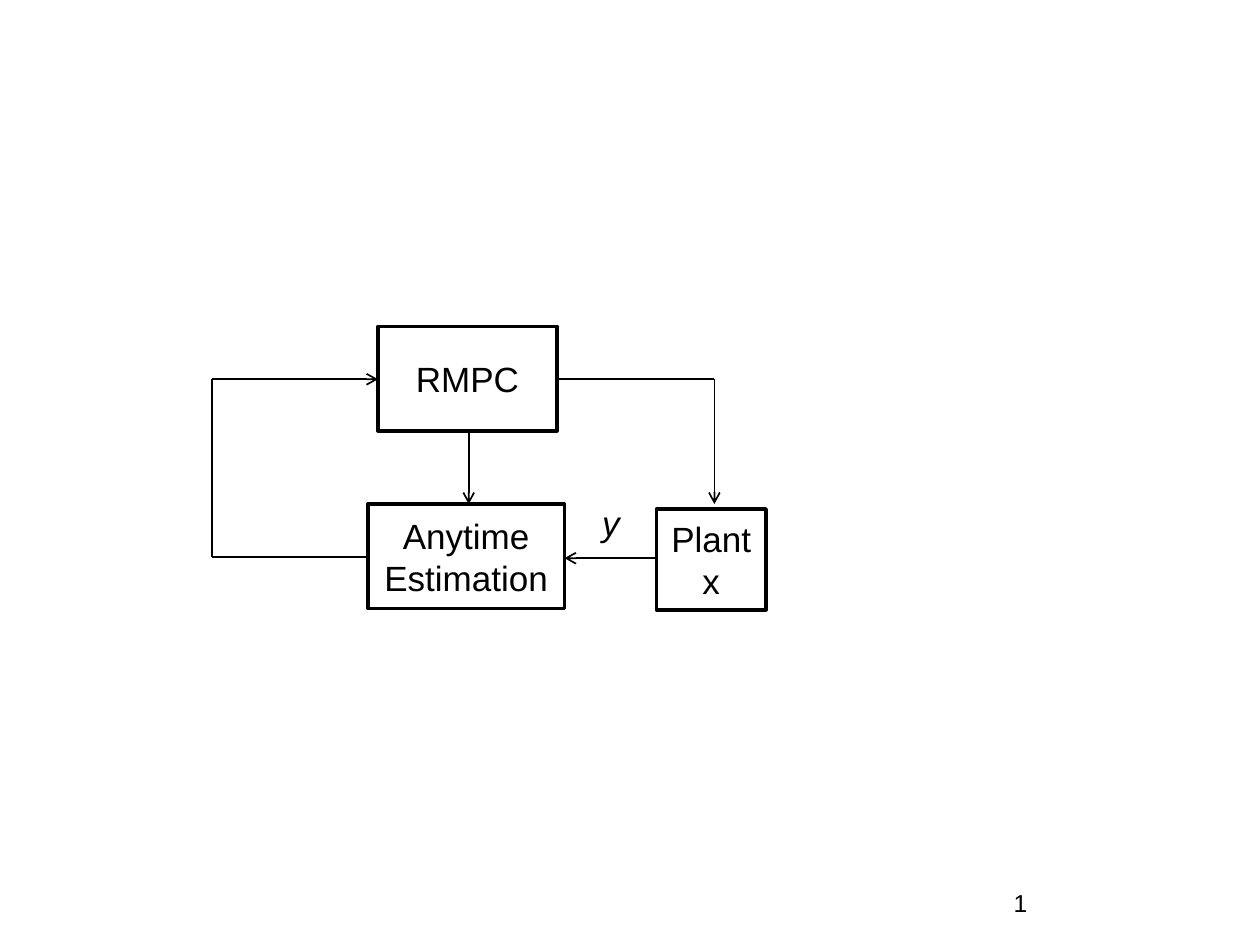
from lxml import etree
from pptx import Presentation
from pptx.dml.color import RGBColor
from pptx.enum import shapes, text
from pptx.oxml import ns
from pptx.util import Inches, Pt

BLACK = "000000"
CENTER, LEFT, RIGHT = text.PP_ALIGN.CENTER, text.PP_ALIGN.LEFT, text.PP_ALIGN.RIGHT

# lines of text, (left, top, width, height)
BLOCKS = [
    (["RMPC"], (3, 2.59, 1.42, 0.83)),
    (["Plant", "x"], (5.21, 4.04, 0.87, 0.8)),
    (["Anytime Estimation"], (2.92, 4, 1.56, 0.83)),
]

# text, (left, top, width, height), format
LABELS = [
    ("1", (6.17, 7, 2.08, 0.5), {"size": 14, "align": RIGHT}),
    ("y", (4.68, 3.93, 0.43, 0.44), {"italic": True, "align": LEFT}),
]

# Corner points of each signal path, and whether it ends in an arrowhead
SIGNALS = [
    ([(4.42, 3.01), (5.67, 3.01), (5.67, 4)], True),  # RMPC to plant
    ([(2.92, 4.42), (1.68, 4.42), (1.68, 3.01), (3, 3.01)], True),  # estimation to RMPC
    ([(3.72, 3.44), (3.72, 4)], True),  # RMPC to estimation
    ([(5.21, 4.43), (4.48, 4.43)], True),  # plant to estimation
]


def color(value):
    return RGBColor.from_string(value)


def write(shape, lines, size=20, italic=False, align=CENTER,
          anchor=text.MSO_ANCHOR.TOP):
    frame = shape.text_frame
    frame.word_wrap = True
    frame.vertical_anchor = anchor
    frame.text = "\n".join(lines)
    for paragraph in frame.paragraphs:
        paragraph.alignment = align
        font = paragraph.runs[0].font
        font.name, font.size, font.italic = "Arial", Pt(size), italic
        font.color.rgb = color(BLACK)


def add_block(slide, lines, box):
    shape = slide.shapes.add_shape(shapes.MSO_SHAPE.RECTANGLE, *map(Inches, box))
    shape.shadow.inherit = False
    shape.fill.background()
    shape.line.color.rgb = color(BLACK)
    shape.line.width = Pt(2)
    write(shape, lines, anchor=text.MSO_ANCHOR.MIDDLE)


def add_line(slide, start, end, arrow):
    connector = slide.shapes.add_connector(
        shapes.MSO_CONNECTOR.STRAIGHT, *map(Inches, start + end))
    connector.line.color.rgb = color(BLACK)
    connector.line.width = Pt(1)
    if arrow:
        outline = connector.line._get_or_add_ln()
        etree.SubElement(outline, ns.qn("a:tailEnd"), type="arrow")
    etree.SubElement(connector._element.spPr, ns.qn("a:effectLst"))


def main():
    presentation = Presentation()
    presentation.slide_width, presentation.slide_height = Inches(10), Inches(7.5)
    slide = presentation.slides.add_slide(presentation.slide_layouts[6])

    for lines, box in BLOCKS:
        add_block(slide, lines, box)
    for label, box, style in LABELS:
        write(slide.shapes.add_textbox(*map(Inches, box)), [label], **style)
    for points, has_arrow in SIGNALS:
        for start, end in zip(points, points[1:]):
            add_line(slide, start, end, has_arrow and end == points[-1])

    presentation.save("out.pptx")


if __name__ == "__main__":
    main()
